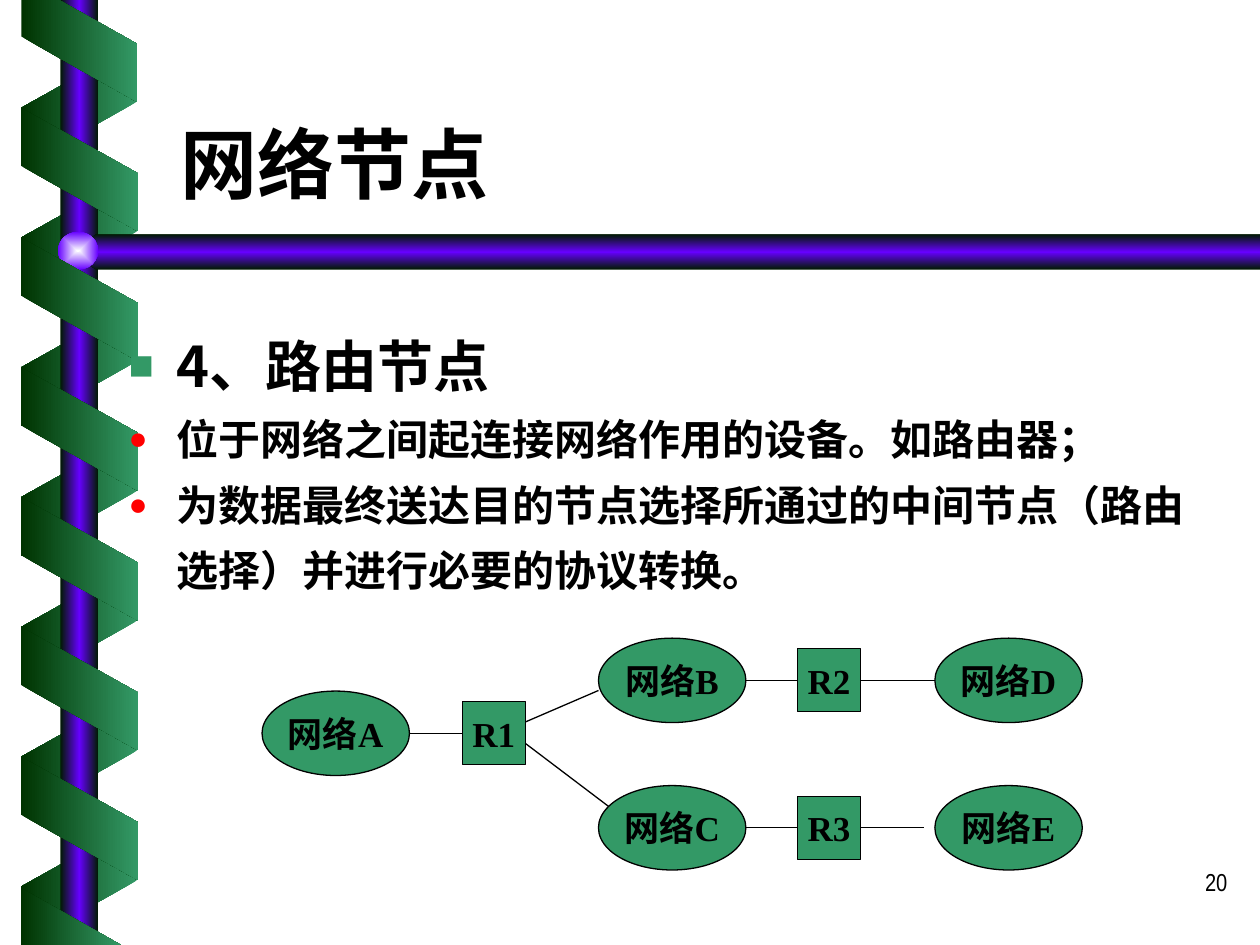
import pptx
import pptx.util
import pptx.dml.color
import pptx.enum.shapes
import pptx.enum.text
import pptx.oxml
import pptx.oxml.ns

Inches, Pt = pptx.util.Inches, pptx.util.Pt
SHAPE = pptx.enum.shapes.MSO_SHAPE
ALIGN = pptx.enum.text.PP_ALIGN
ANCHOR = pptx.enum.text.MSO_ANCHOR
qn = pptx.oxml.ns.qn
A_NS = pptx.oxml.ns.nsdecls("a")

# Content
TITLE = "网络节点"
PAGE = "20"
# text, size, font, bullet, bullet colour
BODY = [
    ("4、路由节点", 32, "Noto Sans CJK SC", "■", "339966"),
    ("位于网络之间起连接网络作用的设备。如路由器；", 24, "Arial Narrow", "●", "FF0000"),
    ("为数据最终送达目的节点选择所通过的中间节点（路由选择）并进行必要的协议转换。",
     24, "Arial Narrow", "●", "FF0000"),
]
# name: left, centre line
ROW_TOP, ROW_MID, ROW_LOW = 5.4, 5.82, 6.57
NETWORKS = {
    "网络A": (2.08, ROW_MID), "网络B": (4.75, ROW_TOP), "网络C": (4.75, ROW_LOW),
    "网络D": (7.42, ROW_TOP), "网络E": (7.42, ROW_LOW),
}
ROUTERS = {"R1": (3.67, ROW_MID), "R2": (6.33, ROW_TOP), "R3": (6.33, ROW_LOW)}
# from, to, router joined at the start, router joined at the end
LINKS = [
    ((3.25, ROW_MID), (3.67, ROW_MID), None, "R1"),
    ((4.17, 5.73), (4.75, 5.48), None, None),
    ((4.17, 5.9), (4.83, 6.4), None, None),
    ((5.92, ROW_TOP), (6.33, ROW_TOP), None, "R2"),
    ((5.92, ROW_LOW), (6.33, ROW_LOW), None, "R3"),
    ((6.83, ROW_TOP), (7.42, ROW_TOP), "R2", None),
    ((6.83, ROW_LOW), (7.33, ROW_LOW), "R3", None),
]
GREEN, DARK, BLACK = "339966", "003300", "000000"
BAR = ("001A00", "6600FF", "001A00")
RIBBON_PITCH = 1.03

prs = pptx.Presentation()
prs.slide_width, prs.slide_height = Inches(10), Inches(7.5)
s = prs.slides.add_slide(prs.slide_layouts[1])


def color(hex_value):
    return pptx.dml.color.RGBColor.from_string(hex_value)


def place(sp, x, y, w, h):
    sp.left, sp.top, sp.width, sp.height = map(Inches, (x, y, w, h))


def set_font(p, size, font, bold=True):
    for r in p.runs:
        r.font.size, r.font.name, r.font.bold = Pt(size), font, bold
        r.font.color.rgb = color(BLACK)
        ea = pptx.oxml.parse_xml(f'<a:ea {A_NS} typeface="Noto Sans CJK SC"/>')
        r.font._element.find(qn("a:latin")).addnext(ea)


def gradient(sp, colors, angle=0, centred=False):
    """Evenly spaced stops that keep their direction when the shape is turned."""
    stops = "".join(
        f'<a:gs pos="{100000 * i // (len(colors) - 1)}"><a:srgbClr val="{c}"/></a:gs>'
        for i, c in enumerate(colors))
    direction = f'<a:lin ang="{angle * 60000}" scaled="0"/>'
    if centred:
        direction = ('<a:path path="rect"><a:fillToRect l="50000" t="50000" '
                     'r="50000" b="50000"/></a:path>')
    sp.shadow.inherit = False
    sp.line.fill.background()
    sp.fill.background()
    props = sp.element.spPr
    props.replace(props.find(qn("a:noFill")), pptx.oxml.parse_xml(
        f'<a:gradFill {A_NS} rotWithShape="0"><a:gsLst>{stops}</a:gsLst>'
        f'{direction}</a:gradFill>'))


def add_preset(kind, x, y, w, h):
    return s.shapes.add_shape(kind, *map(Inches, (x, y, w, h)))


def add_outline(points, colors, angle=0):
    corners = [(Inches(x), Inches(y)) for x, y in points]
    fb = s.shapes.build_freeform(*corners[0])
    fb.add_line_segments(corners[1:], close=True)
    gradient(fb.convert_to_shape(), colors, angle)


def add_ribbons(first, count, height, rotation, colors, flip=False):
    for i in range(count):
        sp = add_preset(SHAPE.PARALLELOGRAM, 0.14, first + i * RIBBON_PITCH, 0.98, height)
        sp.adjustments[0] = 0.56
        sp.rotation = rotation
        if flip:
            sp.element.spPr.xfrm.set("flipH", "1")
        gradient(sp, colors)


def add_node(kind, name, x, middle, w, h):
    sp = add_preset(kind, x, middle - h / 2, w, h)
    sp.shadow.inherit = False
    sp.fill.solid()
    sp.fill.fore_color.rgb = color(GREEN)
    sp.line.color.rgb = color(BLACK)
    sp.line.width = Pt(0.75)
    tf = sp.text_frame
    tf.text = name
    tf.word_wrap = False
    tf.vertical_anchor = ANCHOR.MIDDLE
    tf.paragraphs[0].alignment = ALIGN.CENTER
    set_font(tf.paragraphs[0], 20, "Times New Roman")
    return sp


# Ribbon winding around the two bars
add_ribbons(0.37, 7, 0.92, 90, (GREEN, DARK), flip=True)
gradient(add_preset(SHAPE.RECTANGLE, 0.48, 0, 0.3, 7.5), BAR)
add_outline([(10, 1.86), (0.76, 1.86), (0.6, 2), (0.76, 2.14), (10, 2.14)], BAR, 90)
gradient(add_preset(SHAPE.OVAL, 0.46, 1.84, 0.32, 0.3), ("FEFFFF", "6600FF"), centred=True)
add_ribbons(0.88, 6, 0.93, 270, (DARK, GREEN))
add_outline([(0.17, 0), (0.17, 0.29), (1.09, 0.81), (1.09, 0.35), (0.47, 0)], (DARK, GREEN))
add_outline([(0.96, 7.5), (0.17, 7.05), (0.17, 7.5)], (DARK, GREEN))

# Page number
tb = s.shapes.add_textbox(*map(Inches, (7.76, 6.83, 2.08, 0.5)))
tf = tb.text_frame
tf.word_wrap = True
tf.text = PAGE
tf.paragraphs[0].alignment = ALIGN.RIGHT
set_font(tf.paragraphs[0], 14, "Arial Narrow", bold=False)

# Title and list, brought in front of the ribbon
title, body = s.shapes.title, s.placeholders[1]
for sp in (title, body):
    s.shapes.element.append(sp.element)
    sp.text_frame.word_wrap = True
    sp.text_frame.auto_size = pptx.enum.text.MSO_AUTO_SIZE.NONE

place(title, 1.33, 0.46, 8.5, 1.25)
title.text_frame.text = TITLE
title.text_frame.vertical_anchor = ANCHOR.BOTTOM
title.text_frame.paragraphs[0].alignment = ALIGN.LEFT
set_font(title.text_frame.paragraphs[0], 44, "Times New Roman")

place(body, 0.92, 2.42, 8.83, 2.42)
tf = body.text_frame
tf.text = "\n".join(item[0] for item in BODY)
for p, (_, size, font, bullet, bullet_color) in zip(tf.paragraphs, BODY):
    p.level = 1
    p.line_spacing = 1.3
    p.space_before = Pt(0)
    pPr = p._p.get_or_add_pPr()
    pPr.set("marL", str(Inches(0.38)))
    pPr.set("indent", str(-Inches(0.38)))
    for xml in (f'<a:buClr {A_NS}><a:srgbClr val="{bullet_color}"/></a:buClr>',
                f'<a:buSzPct {A_NS} val="75000"/>',
                f'<a:buFont {A_NS} typeface="Arial"/>',
                f'<a:buChar {A_NS} char="{bullet}"/>'):
        pPr.append(pptx.oxml.parse_xml(xml))
    set_font(p, size, font)

# Network diagram
for name, (x, middle) in NETWORKS.items():
    add_node(SHAPE.OVAL, name, x, middle, 1.17, 0.67)
routers = {name: add_node(SHAPE.RECTANGLE, name, x, middle, 0.5, 0.5)
           for name, (x, middle) in ROUTERS.items()}
for start, end, from_router, to_router in LINKS:
    link = s.shapes.add_connector(pptx.enum.shapes.MSO_CONNECTOR.STRAIGHT,
                                  *map(Inches, start + end))
    link.line.color.rgb = color(BLACK)
    link.line.width = Pt(0.75)
    link.element.spPr.append(pptx.oxml.parse_xml(f"<a:effectLst {A_NS}/>"))
    if from_router:
        link.begin_connect(routers[from_router], 3)
    if to_router:
        link.end_connect(routers[to_router], 1)

prs.save("out.pptx")
